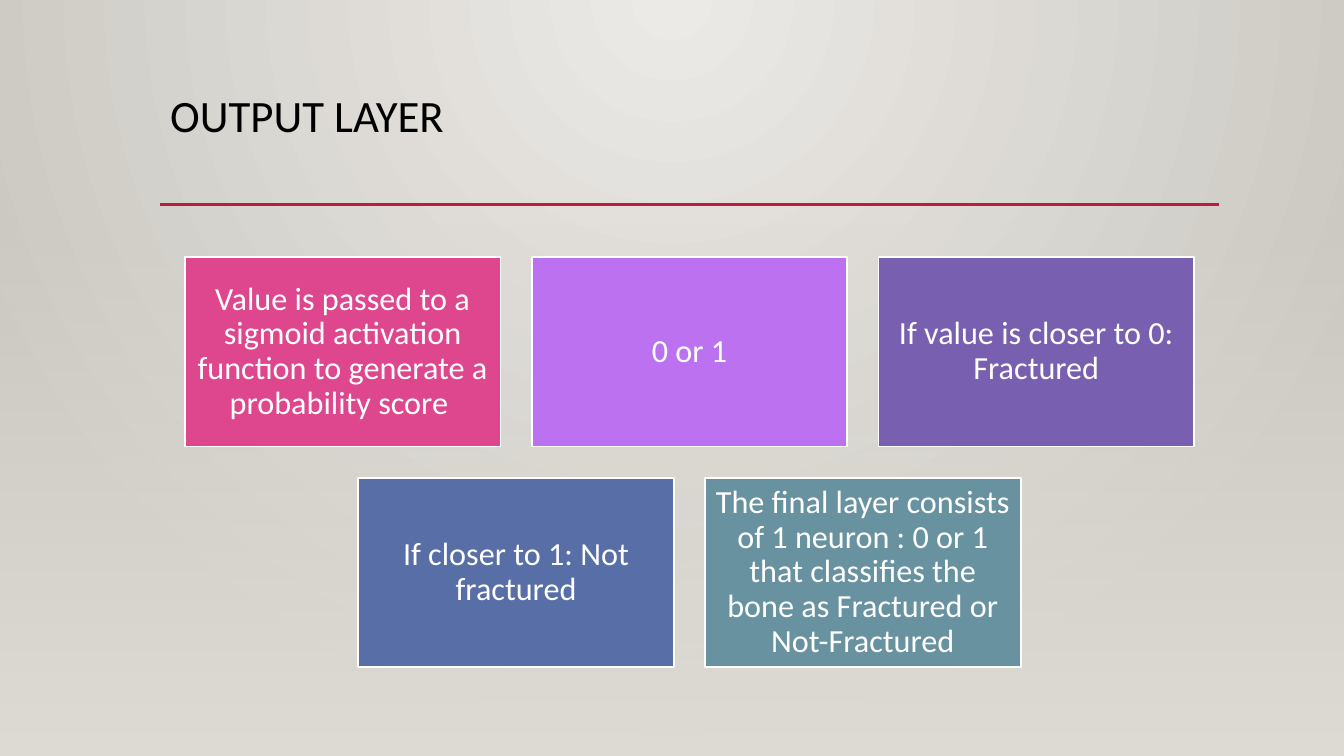
from dataclasses import dataclass

from lxml import etree
from pptx import Presentation
from pptx.dml.color import RGBColor
from pptx.enum.shapes import MSO_CONNECTOR, MSO_SHAPE
from pptx.enum.text import MSO_ANCHOR, PP_ALIGN
from pptx.oxml.ns import qn
from pptx.util import Inches, Pt

RECT = MSO_SHAPE.RECTANGLE
STRAIGHT = MSO_CONNECTOR.STRAIGHT
TOP, MIDDLE = MSO_ANCHOR.TOP, MSO_ANCHOR.MIDDLE
LEFT, CENTER = PP_ALIGN.LEFT, PP_ALIGN.CENTER


@dataclass(frozen=True)
class Theme:
    font: str = "Calibri"
    title_size: float = 32
    card_size: float = 23
    rule_width: float = 2.5
    border_width: float = 1.25
    title: str = "000000"
    card_text: str = "FFFFFF"
    border: str = "FFFFFF"
    accent: str = "B71E42"
    glow: str = "ECEAE7"
    edge: str = "CAC7C1"
    floor: str = "DFDBD5"
    cards: tuple = ("DE478E", "BC72F0", "795FAF", "586EA6", "6892A0")


class Deck:
    """Places elements in percent of the slide; cards sit on a centred grid."""

    GRID_CENTER, GRID_TOP = 51.31, 34
    CARD_W, CARD_H = 23.48, 25.07
    GAP = Inches(0.31)

    def __init__(self, theme):
        self.theme = theme
        self.prs = Presentation()
        self.prs.slide_width, self.prs.slide_height = Inches(13.33), Inches(7.5)
        self.s = self.prs.slides.add_slide(self.prs.slide_layouts[6])

    def x(self, percent):
        return round(self.prs.slide_width * percent / 100)

    def y(self, percent):
        return round(self.prs.slide_height * percent / 100)

    def gradient(self, fill, *colors):
        fill.gradient()
        for stop, color in zip(fill.gradient_stops, colors):
            stop.color.rgb = RGBColor.from_string(color)

    def background(self):
        """Radial glow centred on the top edge."""
        self.gradient(self.s.background.fill, self.theme.glow, self.theme.edge)
        grad = self.s.element.find(".//" + qn("p:bgPr")).find(qn("a:gradFill"))
        grad.remove(grad.find(qn("a:lin")))
        circle = etree.SubElement(grad, qn("a:path"), path="circle")
        etree.SubElement(circle, qn("a:fillToRect"),
                         l="43000", t="0", r="43000", b="100000")

    def rect(self, left, top, width, height):
        sp = self.s.shapes.add_shape(RECT, left, top, width, height)
        sp.shadow.inherit = False
        return sp

    def floor_fade(self, top):
        """Band that goes from clear to solid down to the bottom edge."""
        sp = self.rect(0, self.y(top), self.x(100), self.y(100 - top))
        sp.line.fill.background()
        self.gradient(sp.fill, self.theme.floor, self.theme.floor)
        sp.fill.gradient_angle = 270
        first = sp.element.find(".//" + qn("a:gs")).find(qn("a:srgbClr"))
        etree.SubElement(first, qn("a:alpha"), val="0")

    def rule(self, left, right, y):
        line = self.s.shapes.add_connector(
            STRAIGHT, self.x(left), self.y(y), self.x(right), self.y(y))
        line.line.color.rgb = RGBColor.from_string(self.theme.accent)
        line.line.width = Pt(self.theme.rule_width)
        etree.SubElement(line.element.spPr, qn("a:effectLst"))

    def set_text(self, sp, text, size, color, align, anchor):
        tf = sp.text_frame
        tf.text = text
        tf.word_wrap = True
        tf.vertical_anchor = anchor
        p = tf.paragraphs[0]
        p.alignment = align
        p.line_spacing = 0.9
        font = p.runs[0].font
        font.name, font.size = self.theme.font, Pt(size)
        font.color.rgb = RGBColor.from_string(color)
        return tf

    def title(self, text, left, top, width, height):
        sp = self.s.shapes.add_textbox(
            self.x(left), self.y(top), self.x(width), self.y(height))
        self.set_text(sp, text, self.theme.title_size, self.theme.title,
                      LEFT, TOP)

    def card(self, text, color, left, top):
        sp = self.rect(left, top, self.x(self.CARD_W), self.y(self.CARD_H))
        sp.fill.solid()
        sp.fill.fore_color.rgb = RGBColor.from_string(color)
        sp.line.color.rgb = RGBColor.from_string(self.theme.border)
        sp.line.width = Pt(self.theme.border_width)
        tf = self.set_text(sp, text, self.theme.card_size,
                           self.theme.card_text, CENTER, MIDDLE)
        tf.margin_left = tf.margin_right = Inches(0.1)
        tf.margin_top = tf.margin_bottom = Inches(0.1)

    def card_grid(self, rows):
        """Lay out rows of cards, each row centred on the grid."""
        colors = iter(self.theme.cards)
        step_x = self.x(self.CARD_W) + self.GAP
        step_y = self.y(self.CARD_H) + self.GAP
        for i, row in enumerate(rows):
            left = self.x(self.GRID_CENTER) - (len(row) * step_x - self.GAP) // 2
            for j, text in enumerate(row):
                self.card(text, next(colors), left + j * step_x,
                          self.y(self.GRID_TOP) + i * step_y)


def main():
    deck = Deck(Theme())
    deck.background()
    deck.title("OUTPUT LAYER", 11.93, 11.73, 78.77, 15.33)
    deck.rule(11.93, 90.7, 27.07)
    deck.floor_fade(29.47)
    deck.card_grid([
        ["Value is passed to a sigmoid activation function to generate "
         "a probability score ",
         "0 or 1",
         "If value is closer to 0: Fractured"],
        ["If closer to 1: Not fractured",
         "The final layer consists of 1 neuron : 0 or 1 that classifies "
         "the bone as Fractured or Not-Fractured"],
    ])
    deck.prs.save("out.pptx")


if __name__ == "__main__":
    main()
